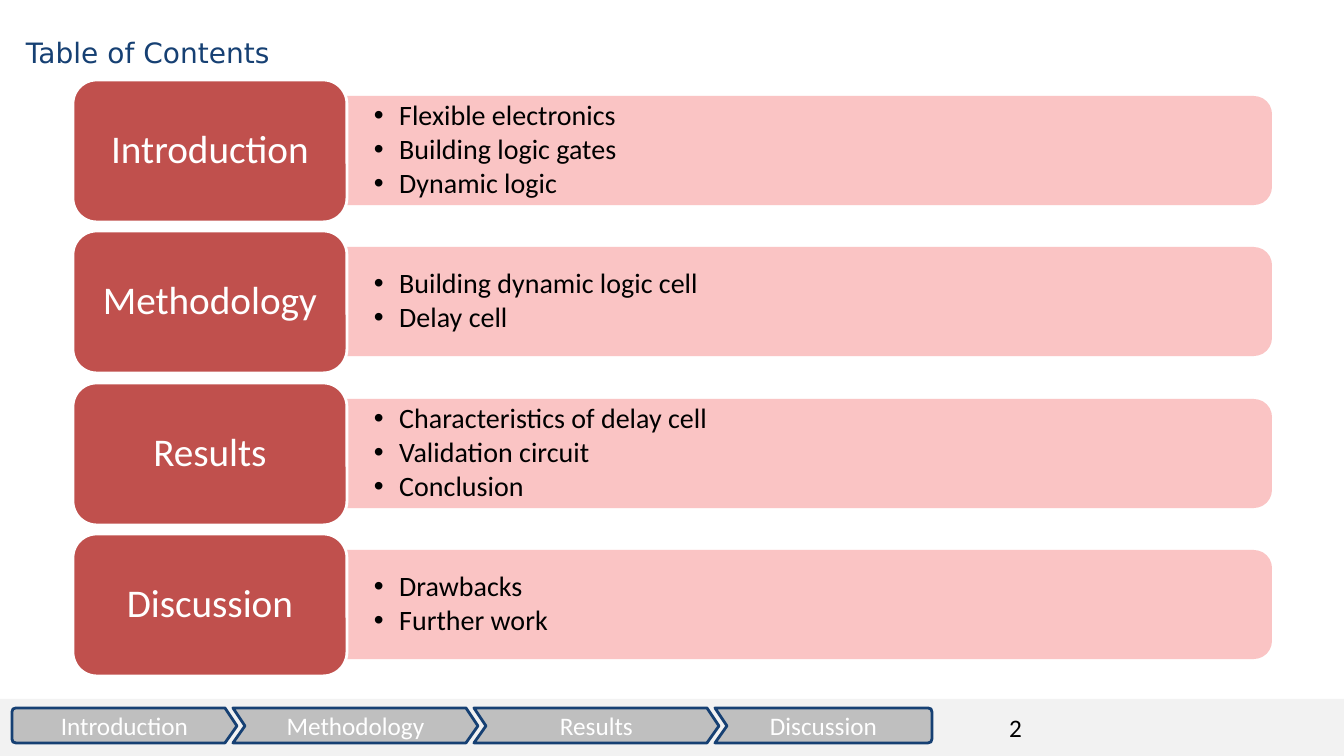
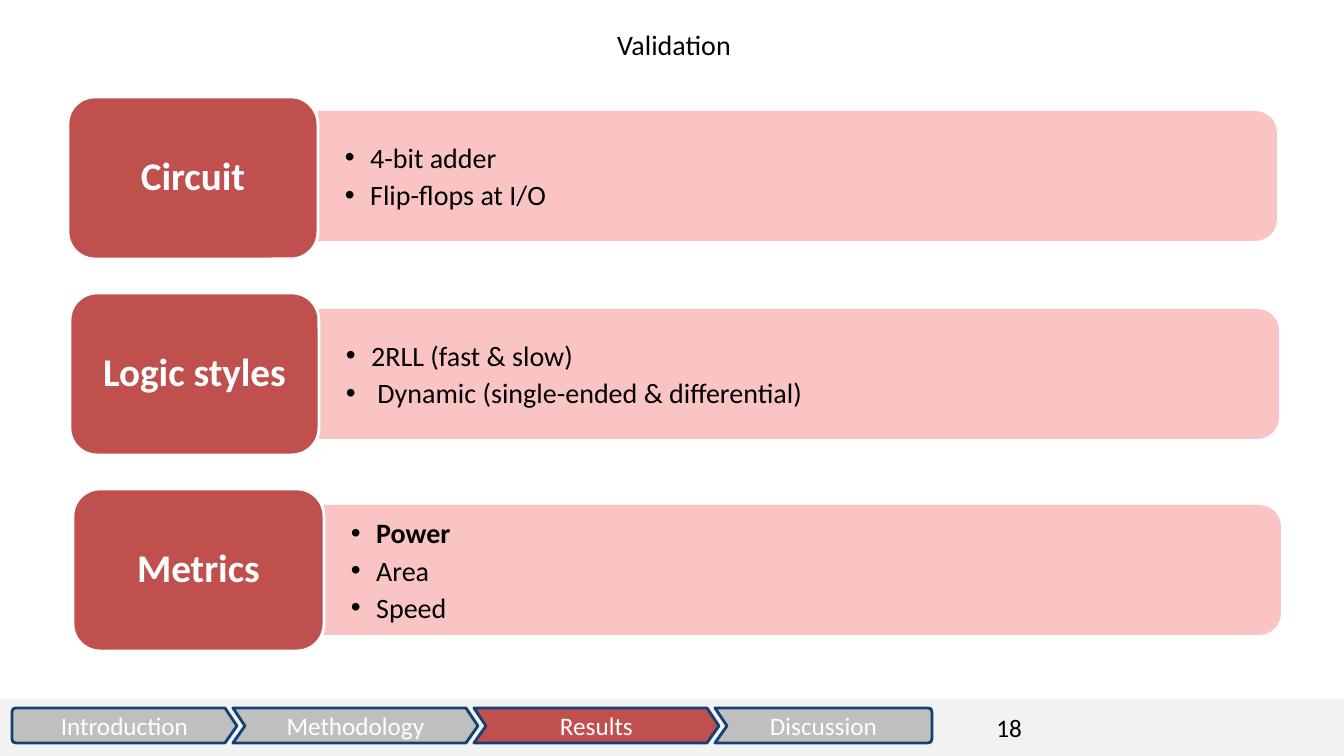
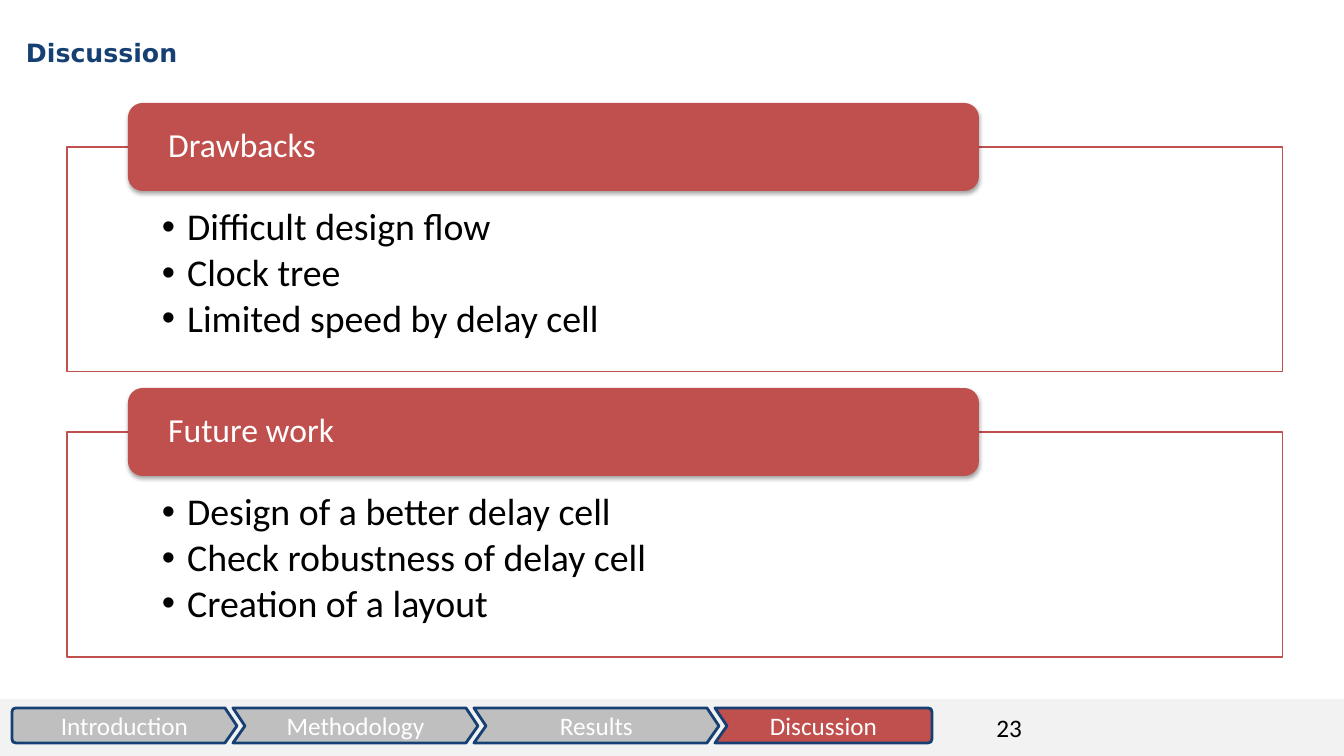
"""Build three slides with card rows and a chapter bar."""
from lxml import etree
from pptx import Presentation
from pptx import util as u
from pptx.dml.color import RGBColor
from pptx.enum import shapes, text
from pptx.oxml.ns import qn

PX = 914400 / 100.8
INK = {"navy": "164073", "red": "C0504D", "pink": "FABEBE", "gray": "BFBFBF",
       "band": "F2F2F2", "white": "FFFFFF", "black": "000000"}
KIND = shapes.MSO_SHAPE
LEFT, MID, RIGHT = text.PP_ALIGN.LEFT, text.PP_ALIGN.CENTER, text.PP_ALIGN.RIGHT


def style(shape, box=None, fill=None, line=None, width=2):
    """Place a shape and set its fill and line."""
    if box:
        for key, val in zip(("left", "top", "width", "height"), box):
            setattr(shape, key, u.Emu(round(val * PX)))
    if fill:
        shape.fill.solid()
        shape.fill.fore_color.rgb = RGBColor.from_string(INK[fill])
    if line:
        shape.line.color.rgb = RGBColor.from_string(INK[line])
        shape.line.width = u.Pt(width)
    else:
        shape.line.fill.background()
    if hasattr(shape, "shadow"):
        shape.shadow.inherit = False
    return shape


def write(shape, lines, size, ink="black", align=LEFT, pad=(10, 5, 10, 5),
          anchor=text.MSO_ANCHOR.MIDDLE, lead=1.0, list_=False, **extra):
    """Fill a shape with formatted paragraphs."""
    frame = shape.text_frame
    frame.text = "\n".join(lines)
    form = {"word_wrap": True, "auto_size": text.MSO_AUTO_SIZE.NONE,
            "vertical_anchor": anchor}
    for key, val in zip(("left", "top", "right", "bottom"), pad):
        form["margin_" + key] = u.Emu(round(val * PX))
    for key, val in form.items():
        setattr(frame, key, val)
    font = {"name": "Calibri", "size": u.Pt(size), "bold": False, **extra}
    for para in frame.paragraphs:
        if list_:
            props = para._p.get_or_add_pPr()
            props.set("marL", "228600")
            props.set("indent", "-228600")
            etree.SubElement(props, qn("a:buChar")).set("char", "•")
        para.alignment = align
        para.line_spacing = lead
        para.space_before = u.Pt(0)
        para.space_after = u.Pt(round(size * 0.13, 1) if list_ else 0)
        for run in para.runs:
            for key, val in font.items():
                setattr(run.font, key, val)
            run.font.color.rgb = RGBColor.from_string(INK[ink])


deck = Presentation()
deck.slide_width, deck.slide_height = u.Emu(round(1344 * PX)), u.Emu(round(756 * PX))

WIDE = (16, 22, 1322, 60)
HEAD = {"name": "DejaVu Sans", "ink": "navy"}
PAGES = [
    ("Table of Contents", WIDE, {"size": 20, **HEAD}, "2", None),
    ("Validation", (69, 21, 1210, 47), {"size": 20, "align": MID}, "18", "Results"),
    ("Discussion", WIDE, {"size": 18, "bold": True, **HEAD}, "23", "Discussion"),
]
STEPS = [("Introduction", 12, 237), ("Methodology", 233, 478),
         ("Results", 474, 719), ("Discussion", 715, 932)]
TIP = [(12, 708), (0, 726), (12, 743)]
NOTCH = [(0, 708), (12, 726), (0, 743)]
CURVE = [(4, 708), (1, 709), (0, 712), (0, 739), (1, 742), (4, 743)]

pages = []
for title, box, form, num, live in PAGES:
    page = deck.slides.add_slide(deck.slide_layouts[4])
    pages.append(page)
    write(style(page.shapes.title, box), [title], **form)
    for name, left, right in STEPS:
        start = CURVE if name == "Introduction" else NOTCH
        end = CURVE if name == "Discussion" else TIP
        dots = [(right - dx, y) for dx, y in end]
        dots += [(left + dx, y) for dx, y in reversed(start)]
        path = page.shapes.build_freeform(*dots[0], scale=PX)
        path.add_line_segments(dots[1:], close=True)
        step = style(path.convert_to_shape(), None, "red" if name == live else "gray", "navy")
        write(step, [name], 18, "white", MID)
    note = page.shapes.add_textbox(0, 0, 0, 0)
    write(style(note, (949, 707, 83, 40)), [num], 18, align=RIGHT)

band = style(pages[0].shapes.add_shape(KIND.RECTANGLE, 0, 0, 0, 0), (0, 699, 1344, 57), "band")
deck.slide_master.shapes.element.insert(2, band.element)

TOPICS = [
    ("Introduction", ["Flexible electronics", "Building logic gates", "Dynamic logic"]),
    ("Methodology", ["Building dynamic logic cell", "Delay cell"]),
    ("Results", ["Characteristics of delay cell", "Validation circuit", "Conclusion"]),
    ("Discussion", ["Drawbacks", "Further work"]),
]
CHECKS = [
    ("Circuit", ["4-bit adder", "Flip-flops at I/O"], 68, 318, 1277, 111),
    ("Logic styles", ["2RLL (fast & slow)", " Dynamic (single-ended & differential)"],
     70, 319, 1279, 309),
    ("Metrics", ["Power", "Area", "Speed"], 73, 324, 1281, 505),
]
rows = [(0, i, name, lines, (73, 80 + i * 303 // 2, 274, 142),
         (347, 96 + i * 303 // 2, 925, 109), 0.9)
        for i, (name, lines) in enumerate(TOPICS)]
rows += [(1, i, name, lines, (left, 97 + i * 196, mid - left, 162),
          (mid, top, right - mid, 130), 1.0)
         for i, (name, lines, left, mid, right, top) in enumerate(CHECKS)]

for n, i, name, lines, tile, area in [row[:6] for row in rows]:
    page, lead = pages[n], 0.9 if n == 0 else 1.0
    x, y, w, h = area
    turn = (x + (w - h) / 2, y + (h - w) / 2, h, w)
    panel = style(page.shapes.add_shape(KIND.ROUND_2_SAME_RECTANGLE, 0, 0, 0, 0), turn, "pink")
    panel.rotation = 90
    tint = panel.element.find(".//" + qn("a:srgbClr"))
    etree.SubElement(tint, qn("a:alpha")).set("val", "90000")
    body = page.placeholders[i + 1]
    page.shapes.element.append(body.element)
    write(style(body, area), lines, 20, pad=(27, 14, 27, 14), lead=lead, list_=True)
    card = page.shapes.add_shape(KIND.ROUNDED_RECTANGLE, 0, 0, 0, 0)
    write(style(card, tile, "red", "white"), [name], 28, "white", MID,
          pad=(19, 13, 19, 13), lead=0.9, bold=n == 1)

pages[1].placeholders[3].text_frame.paragraphs[0].runs[0].font.bold = True

PLANS = [
    ("Drawbacks", ["Difficult design flow", "Clock tree", "Limited speed by delay cell"]),
    ("Future work", ["Design of a better delay cell", "Check robustness of delay cell",
                     "Creation of a layout"]),
]
for i, (name, lines) in enumerate(PLANS):
    body = style(pages[2].placeholders[i + 1], (67, 147 + i * 285, 1216, 225), "white", "red", 0.75)
    write(body, lines, 27, pad=(95, 61, 95, 21), anchor=text.MSO_ANCHOR.TOP, lead=0.9, list_=True)
    tab = pages[2].shapes.add_shape(KIND.ROUNDED_RECTANGLE, 0, 0, 0, 0)
    style(tab, (128, 103 + i * 285, 851, 88), "red")
    write(tab, [name], 24, "white", pad=(36, 4, 36, 4), lead=0.9)
    glow = etree.SubElement(tab.element.spPr.find(qn("a:effectLst")), qn("a:outerShdw"))
    for key, val in {"blurRad": "39370", "dist": "22860", "dir": "5400000"}.items():
        glow.set(key, val)
    shade = etree.SubElement(glow, qn("a:srgbClr"), val=INK["black"])
    etree.SubElement(shade, qn("a:alpha")).set("val", "35000")

for page in pages:
    for body in list(page.placeholders):
        if not body.text_frame.text:
            page.shapes.element.remove(body.element)

deck.save("out.pptx")
